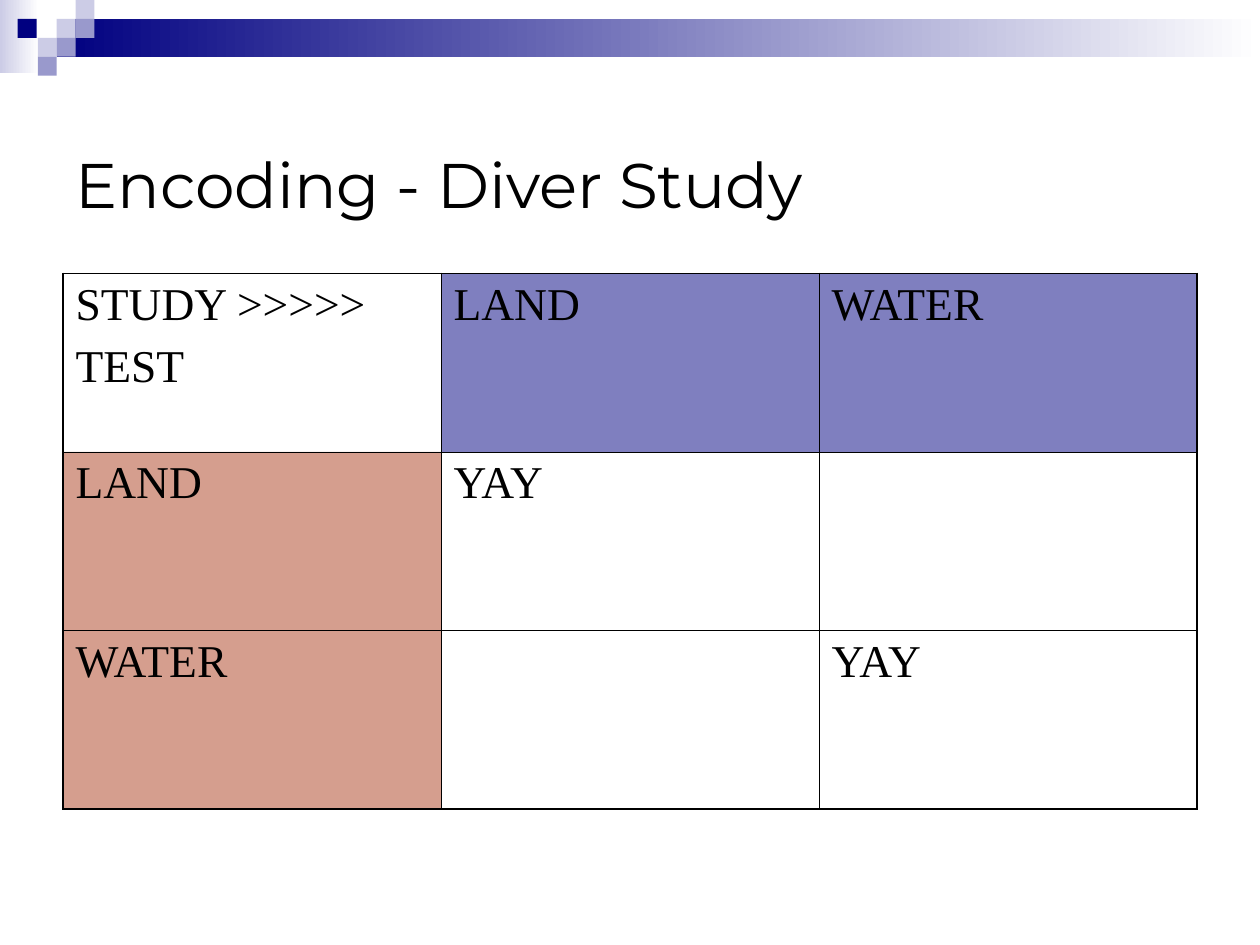
"""Build the diver study slide on encoding context."""
from lxml.etree import SubElement
from pptx import Presentation
from pptx.dml.color import RGBColor
from pptx.enum.shapes import MSO_SHAPE
from pptx.enum.text import MSO_ANCHOR
from pptx.oxml.ns import qn
from pptx.util import Inches, Pt

TITLE = "Encoding - Diver Study"
ROWS = [
    ["STUDY >>>>>\nTEST", "LAND", "WATER"],
    ["LAND", "YAY", ""],
    ["WATER", "", "YAY"],
]
THEME = {
    "navy": "000080", "lavender": "CCCCE6", "periwinkle": "9999CC",
    "rust": "AD3F1E", "white": "FFFFFF", "black": "000000",
    "title_font": "Montserrat", "title_size": 36,
    "table_font": "Times New Roman", "table_size": 26, "paragraph_gap": 6.5,
    "outer_line": 1.08, "inner_line": 0.45,
}
BANDS = [
    ((0, 0, 0.31, 0.58), "lavender"),
    ((0.45, 0.15, 9.55, 0.3), "navy"),
]
SQUARE = 0.15
SQUARES = [
    (0.45, 0.15, "lavender"), (0.6, 0, "lavender"), (0.6, 0.15, "periwinkle"),
    (0.3, 0.3, "lavender"), (0.14, 0.15, "navy"),
    (0.45, 0.3, "periwinkle"), (0.3, 0.45, "periwinkle"),
]
TABLE_BOX = (0.5, 2.17, 9, 4.25)


def color(name):
    return RGBColor.from_string(THEME[name])


def add_rectangle(slide, box):
    shape = slide.shapes.add_shape(MSO_SHAPE.RECTANGLE, *map(Inches, box))
    shape.shadow.inherit = False
    shape.line.fill.background()
    return shape


def add_decoration(slide):
    for box, start in BANDS:
        fill = add_rectangle(slide, box).fill
        fill.gradient()
        fill.gradient_angle = 0
        for stop, name in zip(fill.gradient_stops, (start, "white")):
            stop.color.rgb = color(name)
    for left, top, name in SQUARES:
        fill = add_rectangle(slide, (left, top, SQUARE, SQUARE)).fill
        fill.solid()
        fill.fore_color.rgb = color(name)


def format_text(text_frame, kind):
    for index, paragraph in enumerate(text_frame.paragraphs):
        if index:
            paragraph.space_before = Pt(THEME["paragraph_gap"])
        font = paragraph.font
        for target in [font] + [run.font for run in paragraph.runs]:
            target.name = THEME[f"{kind}_font"]
            target.size = Pt(THEME[f"{kind}_size"])
            target.color.rgb = color("black")


def add_title(slide):
    box = slide.shapes.add_textbox(*map(Inches, (0.5, 0.83, 9, 1.25)))
    text_frame = box.text_frame
    text_frame.word_wrap = True
    text_frame.vertical_anchor = MSO_ANCHOR.MIDDLE
    text_frame.text = TITLE
    format_text(text_frame, "title")


def set_borders(cell, outer_sides):
    properties = cell._tc.get_or_add_tcPr()
    for side in "LRTB":
        width = THEME["outer_line" if side in outer_sides else "inner_line"]
        line = SubElement(properties, qn(f"a:ln{side}"), w=str(Pt(width)))
        fill = SubElement(line, qn("a:solidFill"))
        SubElement(fill, qn("a:srgbClr"), val=THEME["black"])


def set_fill(cell, name):
    if not name:
        cell.fill.background()
        return
    cell.fill.solid()
    cell.fill.fore_color.rgb = color(name)
    rgb = cell._tc.tcPr.find(f"{qn('a:solidFill')}/{qn('a:srgbClr')}")
    SubElement(rgb, qn("a:alpha"), val="50000")


def add_study_table(slide):
    last_row, last_column = len(ROWS) - 1, len(ROWS[0]) - 1
    table = slide.shapes.add_table(
        len(ROWS), len(ROWS[0]), *map(Inches, TABLE_BOX)).table
    table.first_row = table.horz_banding = False
    for row, texts in enumerate(ROWS):
        for column, text in enumerate(texts):
            cell = table.cell(row, column)
            cell.text_frame.text = text
            format_text(cell.text_frame, "table")
            edges = {"L": column == 0, "R": column == last_column,
                     "T": row == 0, "B": row == last_row}
            set_borders(cell, [side for side in edges if edges[side]])
            header = "navy" if column else None
            label = None if column else "rust"
            set_fill(cell, label if row else header)


def main():
    presentation = Presentation()
    presentation.slide_width = Inches(10)
    presentation.slide_height = Inches(7.5)
    slide = presentation.slides.add_slide(presentation.slide_layouts[6])
    add_decoration(slide)
    add_title(slide)
    add_study_table(slide)
    presentation.save("out.pptx")


if __name__ == "__main__":
    main()
